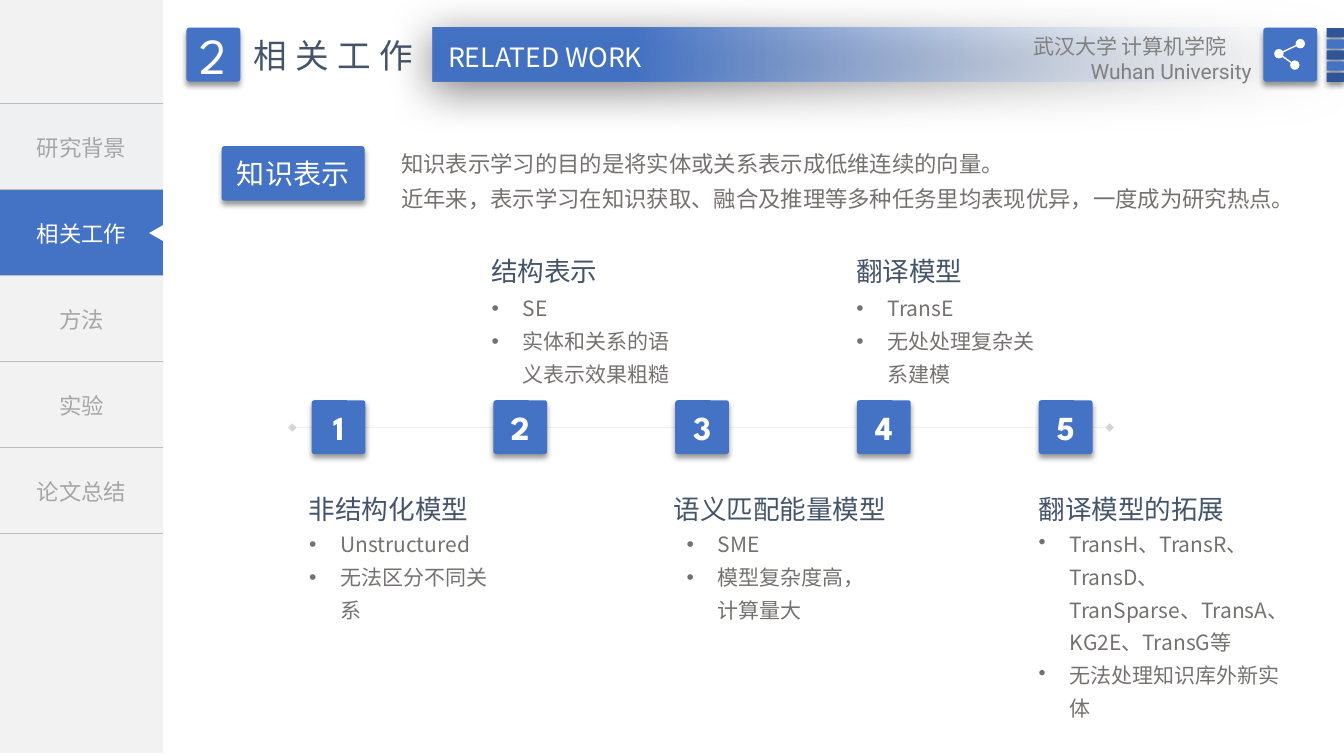
from lxml.etree import SubElement
from pptx import Presentation
from pptx.dml.color import RGBColor
from pptx.enum.shapes import MSO_CONNECTOR as Connector, MSO_SHAPE as Shape
from pptx.enum.text import MSO_ANCHOR as Anchor, MSO_AUTO_SIZE as AutoSize, PP_ALIGN as Align
from pptx.oxml.ns import qn
from pptx.util import Inches, Pt

COLORS = {
    "blue": "4472C4", "deep blue": "2F5597", "pale": "F7FAFD", "white": "FFFFFF",
    "sidebar": "F2F2F2", "first tab": "EFF0F2", "rule": "BFBFBF", "tab text": "A6A6A6",
    "heading": "44546A", "body": "767171", "grey": "808080", "black": "000000",
}
SANS, DISPLAY, LATIN = "Noto Sans CJK SC", "League Spartan", "Roboto"
CELL = Inches(1) / 12  # the slide is a grid of 160 columns by 90 rows
TILE = 6.4
TILE_SHADOW = (40, 4, 3, 90)


def rgb(name):
    return RGBColor.from_string(COLORS[name])


def grid(*cells):
    return [round(cell * CELL) for cell in cells]


def add_alpha(parent, percent):
    """Make the colour element found under parent partly transparent."""
    color = next(parent.iter(qn("a:srgbClr")))
    SubElement(color, qn("a:alpha"), val=str(percent * 1000))


class SlideBuilder:
    def __init__(self, presentation):
        self.slide = presentation.slides.add_slide(presentation.slide_layouts[4])
        self.shapes = self.slide.shapes
        self.bodies = iter([holder for holder in self.slide.placeholders
                            if holder.placeholder_format.idx in range(1, 5)])

    def format_text(self, paragraph, size, color, font=SANS, bold=False, align=Align.LEFT,
                    line_spacing=1.0, tracking=0):
        paragraph.alignment = align
        paragraph.line_spacing = line_spacing
        paragraph.space_before = Pt(0)
        for run in paragraph.runs:
            run.font.size, run.font.bold, run.font.name = Pt(size), bold, font
            run.font.color.rgb = rgb(color)
            properties = run._r.get_or_add_rPr()
            SubElement(properties, qn("a:ea"), typeface=SANS)
            if tracking:
                properties.set("spc", str(tracking * 100))

    def set_text(self, shape, text, size, color, anchor=Anchor.TOP, bullets=False, **style):
        frame = shape.text_frame
        frame.text = text
        frame.word_wrap, frame.auto_size = True, AutoSize.NONE
        frame.vertical_anchor = anchor
        for paragraph in frame.paragraphs:
            if bullets:
                indent = Inches(0.31)
                properties = paragraph._p.get_or_add_pPr()
                properties.set("marL", str(indent))
                properties.set("indent", str(-indent))
                SubElement(properties, qn("a:buChar"), char="•")
            self.format_text(paragraph, size, color, **style)
        return shape

    def text(self, box, *content, **style):
        return self.set_text(self.shapes.add_textbox(*grid(*box)), *content, **style)

    def title(self, box, *content, **style):
        title = self.shapes.title
        title.left, title.top, title.width, title.height = grid(*box)
        self.set_text(title, *content, **style)

    def bullet_list(self, box, items):
        """Fill the next free body placeholder, or a text box once all are taken."""
        body = next(self.bodies, None) or self.shapes.add_textbox(0, 0, 0, 0)
        body.left, body.top, body.width, body.height = grid(*box)
        self.set_text(body, "\n".join(items), 15, "body", bullets=True, line_spacing=1.3)

    def shape(self, kind, box, color, shadow=None):
        shape = self.shapes.add_shape(kind, *grid(*box))
        shape.fill.solid()
        shape.fill.fore_color.rgb = rgb(color)
        shape.line.fill.background()
        shape.shadow.inherit = False
        if kind == Shape.ROUNDED_RECTANGLE:
            shape.adjustments[0] = 0.05
        if shadow:
            opacity, blur, distance, angle = shadow
            effects = shape._element.spPr.find(qn("a:effectLst"))
            outer = SubElement(effects, qn("a:outerShdw"), blurRad=str(Pt(blur)),
                               dist=str(Pt(distance)), dir=str(angle * 60000),
                               algn="t", rotWithShape="0")
            SubElement(outer, qn("a:srgbClr"), val=COLORS["black"])
            add_alpha(outer, opacity)
        return shape

    def tile(self, left, top, width=TILE, height=TILE, color="blue"):
        return self.shape(Shape.ROUNDED_RECTANGLE, (left, top, width, height), color, TILE_SHADOW)

    def label_tile(self, box, text, size, bold=False):
        self.set_text(self.tile(*box), text, size, "white", Anchor.MIDDLE,
                      font=DISPLAY, bold=bold, align=Align.CENTER)

    def gradient_bar(self, box):
        """Draw a bar that fades out towards its right end."""
        bar = self.shape(Shape.RECTANGLE, box, "blue", (50, 31, 6, 97))
        bar.fill.gradient()
        bar.fill.gradient_angle = 180
        clear, solid = bar.fill.gradient_stops
        clear.color.rgb, clear.position = rgb("pale"), 0
        solid.color.rgb, solid.position = rgb("blue"), 0.78
        add_alpha(bar._element.spPr.find(qn("a:gradFill")), 0)

    def line(self, start, end, color, width, opacity=100, ends=None):
        line = self.shapes.add_connector(Connector.STRAIGHT, *grid(*start, *end))
        line.line.color.rgb = rgb(color)
        line.line.width = Pt(width)
        stroke = line.line._get_or_add_ln()
        add_alpha(stroke, opacity)
        if ends:
            for end_name in ("a:headEnd", "a:tailEnd"):
                SubElement(stroke, qn(end_name), type=ends)
        SubElement(line._element.spPr, qn("a:effectLst"))

    def navigation(self, box, tabs):
        """Stack the section tabs, each a (text, font, text colour, fill) tuple."""
        table = self.shapes.add_table(len(tabs), 1, *grid(*box)).table
        table.first_row = table.horz_banding = False
        for index, (text, font, color, fill) in enumerate(tabs):
            cell = table.cell(index, 0)
            cell.text, cell.vertical_anchor = text, Anchor.MIDDLE
            self.format_text(cell.text_frame.paragraphs[0], 16, color, font, align=Align.CENTER)
            properties = cell._tc.get_or_add_tcPr()
            for side in "LRTB":
                border = SubElement(properties, qn(f"a:ln{side}"), w=str(Pt(1)))
                if side in "LR":
                    SubElement(border, qn("a:noFill"))
                else:
                    paint = SubElement(border, qn("a:solidFill"))
                    SubElement(paint, qn("a:srgbClr"), val=COLORS["rule"])
            cell.fill.solid()
            cell.fill.fore_color.rgb = rgb(fill)

    def share_icon(self, nodes, radius):
        """Join the middle node to the two others."""
        for node in nodes:
            left, top = (center - radius for center in node)
            self.shape(Shape.OVAL, (left, top, 2 * radius, 2 * radius), "white")
        for start, end in zip(nodes, nodes[1:]):
            self.line(start, end, "white", 1)


TABS = [
    ("研究背景", SANS, "tab text", "first tab"),
    ("相关工作", DISPLAY, "white", "blue"),
    ("方法", SANS, "tab text", "sidebar"),
    ("实验", SANS, "tab text", "sidebar"),
    ("论文总结", DISPLAY, "tab text", "sidebar"),
]
INTRO = ("知识表示学习的目的是将实体或关系表示成低维连续的向量。\n"
         "近年来，表示学习在知识获取、融合及推理等多种任务里均表现优异，一度成为研究热点。")
# heading, list items, list offset, list width, list height
STAGES = [
    ("非结构化模型", ["Unstructured", "无法区分不同关系"], 0, 25, 13),
    ("结构表示", ["SE", "实体和关系的语义表示效果粗糙"], 0, 25.7, 13),
    ("语义匹配能量模型", ["SME", "模型复杂度高，计算量大"], 1.5, 25, 13),
    ("翻译模型", ["TransE", "无处处理复杂关系建模"], 0, 25, 13),
    ("翻译模型的拓展", ["TransH、TransR、TransD、TranSparse、TransA、KG2E、TransG等",
                 "无法处理知识库外新实体"], 0, 32.2, 24.8),
]


def main():
    presentation = Presentation()
    presentation.slide_width, presentation.slide_height = grid(160, 90)
    page = SlideBuilder(presentation)

    page.shape(Shape.RECTANGLE, (0, 0, 19.44, 89.6), "sidebar")
    page.navigation((0, 12.36, 19.44, 51.15), TABS)
    page.shape(Shape.ISOSCELES_TRIANGLE, (17.64, 26.9, 1.92, 1.68), "white").rotation = 270

    page.gradient_bar((51.5, 3.3, 108.5, TILE))
    page.label_tile((22.2, 3.3), "2", 36)
    page.title((29, 3.6, 24, 6), "相关工作", 24, "heading", tracking=6)
    page.text((51.4, 4.3, 27, 5), "RELATED WORK", 19, "white", align=Align.CENTER)
    for index in range(5):
        page.tile(157.95, 3.36 + 1.32 * index, 2.05, 1.1, "blue" if index % 2 else "deep blue")
    page.tile(150.4, 3.3)
    page.share_icon([(154.8, 5.2), (152.25, 6.4), (154.15, 7.75)], 0.56)
    school = page.text((121.8, 3.36, 28.4, 7.6), "武汉大学 计算机学院\nWuhan University", 15, "grey")
    english = school.text_frame.paragraphs[1]
    english.alignment = Align.RIGHT
    english.runs[0].font.name = LATIN

    page.label_tile((26.4, 17.4, 17, 6.5), "知识表示", 20)
    page.text((46.6, 16.3, 108.1, 9.2), INTRO, 16, "body", line_spacing=1.3)

    page.line((34.8, 50.9), (132.1, 50.9), "grey", 0.25, 33, "diamond")
    for index, (heading, items, offset, width, height) in enumerate(STAGES):
        left = 35.6 + 21.72 * index
        heading_top, list_top = (28.6, 33.7) if index % 2 else (56.9, 61.8)
        page.label_tile((37.1 + 21.64 * index, 47.65), str(index + 1), 24, bold=True)
        page.text((left, heading_top, 30, 5.8), heading, 19, "heading", line_spacing=1.3)
        page.bullet_list((left + offset, list_top, width, height), items)

    presentation.save("out.pptx")


if __name__ == "__main__":
    main()
